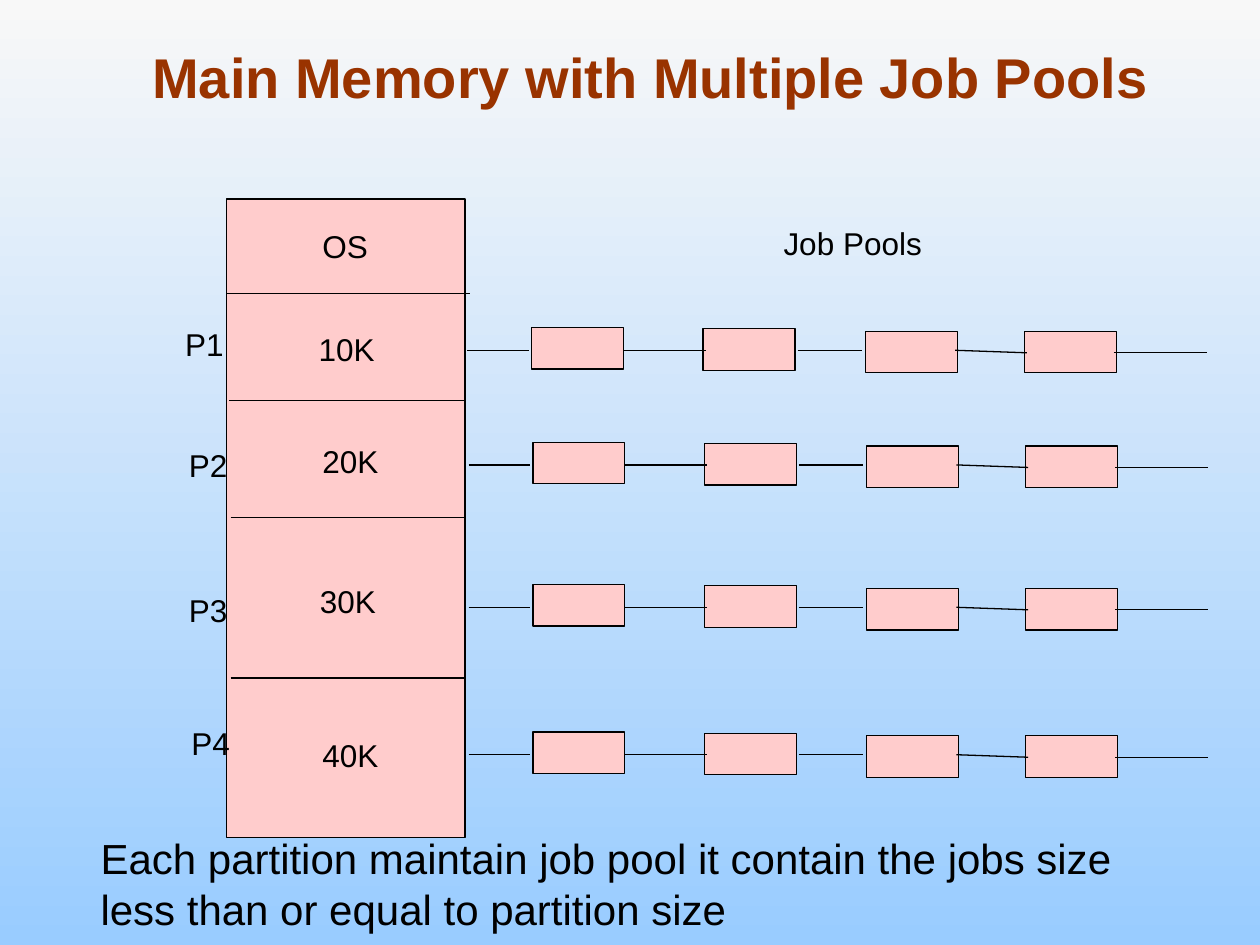
from dataclasses import dataclass

import lxml.etree
import pptx
import pptx.dml.color
import pptx.enum.shapes
import pptx.enum.text
import pptx.oxml.ns
import pptx.util

Inches = pptx.util.Inches
BLACK = "000000"
PINK = "FFCCCC"


@dataclass(frozen=True)
class Region:
    size: str
    size_left: float
    size_top: float


@dataclass(frozen=True)
class Pool:
    partition: str
    label_left: float
    label_top: float
    left: float
    queue_y: float


@dataclass(frozen=True)
class Job:
    dx: float
    dy: float


@dataclass(frozen=True)
class Link:
    start_dx: float
    end_dx: float
    start_dy: float = 0
    end_dy: float = 0


@dataclass(frozen=True)
class Divider:
    left: float
    right: float
    y: float


REGIONS = [
    Region("OS", 2.46, 1.75),
    Region("10K", 2.43, 2.57),
    Region("20K", 2.46, 3.46),
    Region("30K", 2.44, 4.57),
    Region("40K", 2.46, 5.79),
]
DIVIDERS = [
    Divider(1.8, 3.73, 2.33),
    Divider(1.82, 3.69, 3.18),
    Divider(1.83, 3.7, 4.11),
    Divider(1.83, 3.7, 5.38),
]
POOLS = [
    Pool("P1", 1.37, 2.53, 3.71, 2.78),
    Pool("P2", 1.4, 3.49, 3.72, 3.69),
    Pool("P3", 1.4, 4.64, 3.72, 4.82),
    Pool("P4", 1.42, 5.7, 3.72, 5.99),
]
JOBS = [Job(0.51, -0.18), Job(1.87, -0.17), Job(3.16, -0.15), Job(4.42, -0.15)]
LINKS = [
    Link(0, 0.49),
    Link(1.24, 1.89),
    Link(2.62, 3.13),
    Link(3.87, 4.44, 0, 0.02),
    Link(5.13, 5.87, 0.02, 0.02),
]


def rgb(value: str) -> pptx.dml.color.RGBColor:
    return pptx.dml.color.RGBColor.from_string(value)


def write(frame, text: str, *, size: float = 18, color: str = BLACK,
          bold: bool = False, align=pptx.enum.text.PP_ALIGN.LEFT,
          anchor=pptx.enum.text.MSO_ANCHOR.TOP, wrap: bool = True,
          fit=pptx.enum.text.MSO_AUTO_SIZE.SHAPE_TO_FIT_TEXT) -> None:
    frame.word_wrap = wrap
    frame.auto_size = fit
    frame.vertical_anchor = anchor
    paragraph = frame.paragraphs[0]
    paragraph.alignment = align
    run = paragraph.add_run()
    run.text = text
    run.font.name = "Arial"
    run.font.size = pptx.util.Pt(size)
    run.font.bold = bold
    run.font.color.rgb = rgb(color)


def add_label(slide, text: str, left: float, top: float, width: float,
              height: float = 0.4, **text_format) -> None:
    label = slide.shapes.add_textbox(
        Inches(left), Inches(top), Inches(width), Inches(height))
    write(label.text_frame, text, **text_format)


def add_block(slide, left: float, top: float, width: float, height: float) -> None:
    block = slide.shapes.add_shape(
        pptx.enum.shapes.MSO_SHAPE.RECTANGLE,
        Inches(left), Inches(top), Inches(width), Inches(height))
    block.shadow.inherit = False
    block.fill.solid()
    block.fill.fore_color.rgb = rgb(PINK)
    block.line.color.rgb = rgb(BLACK)
    block.line.width = pptx.util.Pt(0.75)


def add_line(slide, x1: float, y1: float, x2: float, y2: float) -> None:
    line = slide.shapes.add_connector(
        pptx.enum.shapes.MSO_CONNECTOR.STRAIGHT,
        Inches(x1), Inches(y1), Inches(x2), Inches(y2))
    line.line.color.rgb = rgb(BLACK)
    line.line.width = pptx.util.Pt(0.75)
    lxml.etree.SubElement(line._element.spPr, pptx.oxml.ns.qn("a:effectLst"))


def add_memory(slide) -> None:
    add_block(slide, 1.8, 1.58, 1.89, 5.07)
    for divider in DIVIDERS:
        add_line(slide, divider.left, divider.y, divider.right, divider.y)
    for region in REGIONS:
        width = 0.58 if region.size == "OS" else 0.66
        add_label(slide, region.size, region.size_left, region.size_top, width, wrap=False)


def add_pool(slide, pool: Pool) -> None:
    add_label(slide, pool.partition, pool.label_left, pool.label_top, 0.52, wrap=False)
    for job in JOBS:
        add_block(slide, pool.left + job.dx, pool.queue_y + job.dy, 0.73, 0.33)
    for link in LINKS:
        add_line(slide, pool.left + link.start_dx, pool.queue_y + link.start_dy,
                 pool.left + link.end_dx, pool.queue_y + link.end_dy)


def paint_background(slide) -> None:
    fill = slide.background.fill
    fill.gradient()
    fill.gradient_angle = 270
    for stop, color in zip(fill.gradient_stops, ["F8F8F8", "99CCFF"]):
        stop.color.rgb = rgb(color)


def add_title(slide, text: str) -> None:
    title = slide.shapes.title
    title.left, title.top = Inches(0.75), Inches(0.25)
    title.width, title.height = Inches(8.83), Inches(0.67)
    write(title.text_frame, text, size=32, color="993300", bold=True,
          align=pptx.enum.text.PP_ALIGN.CENTER,
          anchor=pptx.enum.text.MSO_ANCHOR.BOTTOM,
          fit=pptx.enum.text.MSO_AUTO_SIZE.NONE)


def main() -> None:
    deck = pptx.Presentation()
    deck.slide_width, deck.slide_height = Inches(10), Inches(7.5)
    slide = deck.slides.add_slide(deck.slide_layouts[5])
    paint_background(slide)
    add_title(slide, "Main Memory with Multiple Job Pools")
    add_memory(slide)
    add_label(slide, "Job Pools", 6.12, 1.73, 1.32, wrap=False)
    for pool in POOLS:
        add_pool(slide, pool)
    add_label(slide, "Each partition maintain job pool it contain the jobs size "
              "less than or equal to partition size", 0.7, 6.56, 8.8, 0.9, size=24)
    deck.save("out.pptx")


if __name__ == "__main__":
    main()
